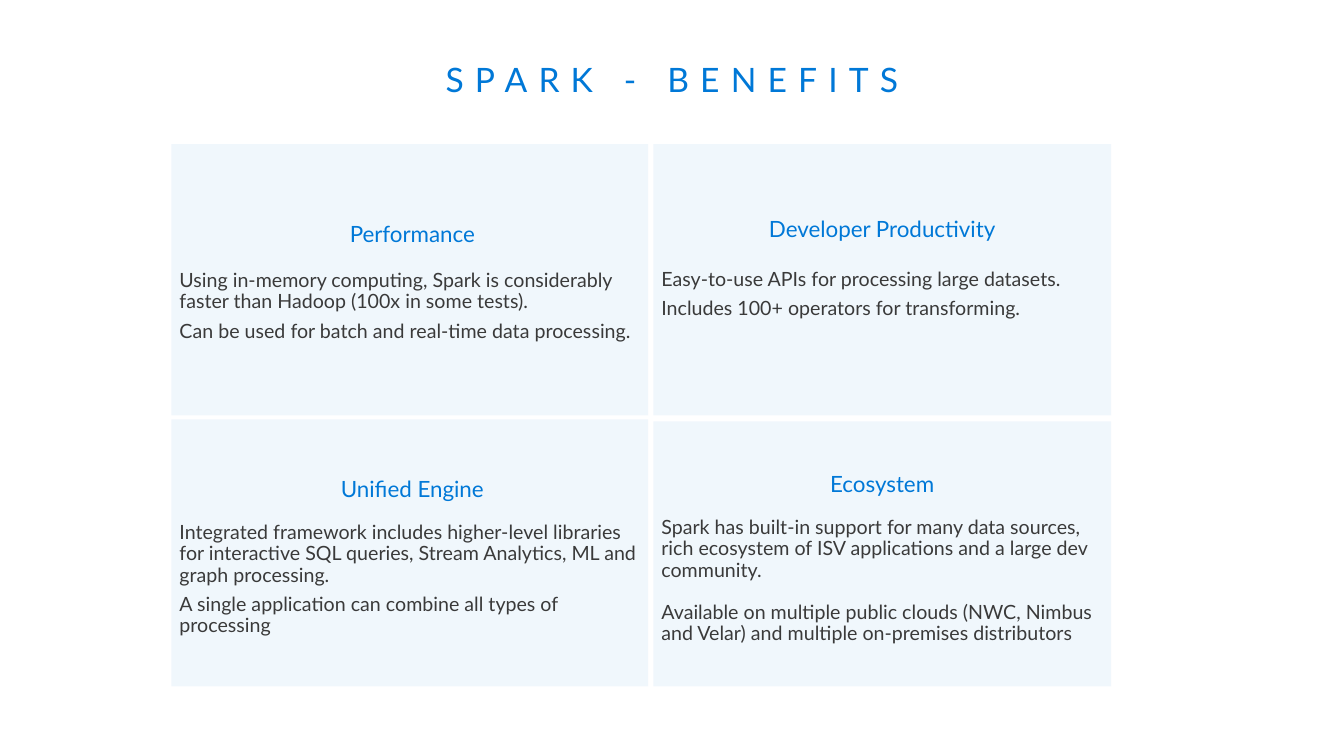
"""Build the Spark benefits slide: a title over a two-by-two grid of tinted cards."""
from lxml import etree
from pptx import Presentation
from pptx.dml.color import RGBColor
from pptx.enum.shapes import MSO_SHAPE
from pptx.enum.text import MSO_ANCHOR, PP_ALIGN
from pptx.oxml.ns import qn
from pptx.util import Inches, Pt

RECT = MSO_SHAPE.RECTANGLE
MIDDLE = MSO_ANCHOR.MIDDLE
CENTER, LEFT = PP_ALIGN.CENTER, PP_ALIGN.LEFT

COLORS = {"blue": "0078D7", "text": "3A3A3A"}
FONT = "Lato"
TINT = 6

COL_X, COL_W = (1.7, 6.48), (4.78, 4.54)
CARD_W = (4.73, 4.54)
TEXT_Y, TEXT_H = (1.43, 4.12), (2.75, 2.82)
PAD_X, PAD_Y = 0.08, 0.03

# column, row, card top, card height, extra top and bottom padding, heading gap, paragraph gap
BENEFITS = [
    (0, 0, 1.43, 2.69, 0, 0, 17, 5.9, "Performance", [
        "Using in-memory computing, Spark is considerably faster than Hadoop (100x in some tests).",
        "Can be used for batch and real-time data processing."]),
    (1, 0, 1.43, 2.69, 0, 0.27, 19.4, 6, "Developer Productivity", [
        "Easy-to-use APIs for processing large datasets.",
        "Includes 100+ operators for transforming."]),
    (0, 1, 4.16, 2.65, 0, 0, 14.8, 5.9, "Unified Engine", [
        "Integrated framework includes higher-level libraries for interactive SQL queries, "
        "Stream Analytics, ML and graph processing.",
        "A single application can combine all types of processing"]),
    (1, 1, 4.18, 2.63, 0.3, 0.27, 14.8, 15.1, "Ecosystem", [
        "Spark has built-in support for many data sources, rich ecosystem of ISV applications "
        "and a large dev community.",
        "Available on multiple public clouds (NWC, Nimbus and Velar) and multiple "
        "on-premises distributors"]),
]

prs = Presentation()
prs.slide_width, prs.slide_height = Inches(13.33), Inches(7.5)
s = prs.slides.add_slide(prs.slide_layouts[6])


def add_box(x, y, w, h, pad_x, pad_top, pad_bottom):
    tf = s.shapes.add_textbox(Inches(x), Inches(y), Inches(w), Inches(h)).text_frame
    tf.word_wrap = True
    tf.vertical_anchor = MIDDLE
    tf.margin_left = tf.margin_right = Inches(pad_x)
    tf.margin_top, tf.margin_bottom = Inches(pad_top), Inches(pad_bottom)
    return tf


def add_text(p, text, size, color, align, before=0):
    p.alignment = align
    p.line_spacing = 0.9
    p.space_before = Pt(before)
    r = p.add_run()
    r.text = text
    r.font.name, r.font.size = FONT, Pt(size)
    r.font.color.rgb = RGBColor.from_string(COLORS[color])
    return r


title = add_box(0.29, 0.32, 12.75, 0.98, 0.16, 0.1, 0.1)
r = add_text(title.paragraphs[0], "SPARK - BENEFITS", 24, "blue", CENTER)
r.font._element.set("spc", "800")

for col, row, top, height, pad_top, pad_bottom, head_gap, par_gap, heading, lines in BENEFITS:
    sp = s.shapes.add_shape(RECT, Inches(COL_X[col]), Inches(top),
                            Inches(CARD_W[col]), Inches(height))
    sp.shadow.inherit = False
    sp.line.fill.background()
    sp.fill.solid()
    sp.fill.fore_color.rgb = RGBColor.from_string(COLORS["blue"])
    clr = sp._element.spPr.find(qn("a:solidFill")).find(qn("a:srgbClr"))
    etree.SubElement(clr, qn("a:alpha")).set("val", str(TINT * 1000))

    tf = add_box(COL_X[col], TEXT_Y[row], COL_W[col], TEXT_H[row],
                 PAD_X, PAD_Y + pad_top, PAD_Y + pad_bottom)
    add_text(tf.paragraphs[0], heading, 16, "blue", CENTER)
    for i, line in enumerate(lines):
        add_text(tf.add_paragraph(), line, 14, "text", LEFT, par_gap if i else head_gap)

prs.save("out.pptx")
